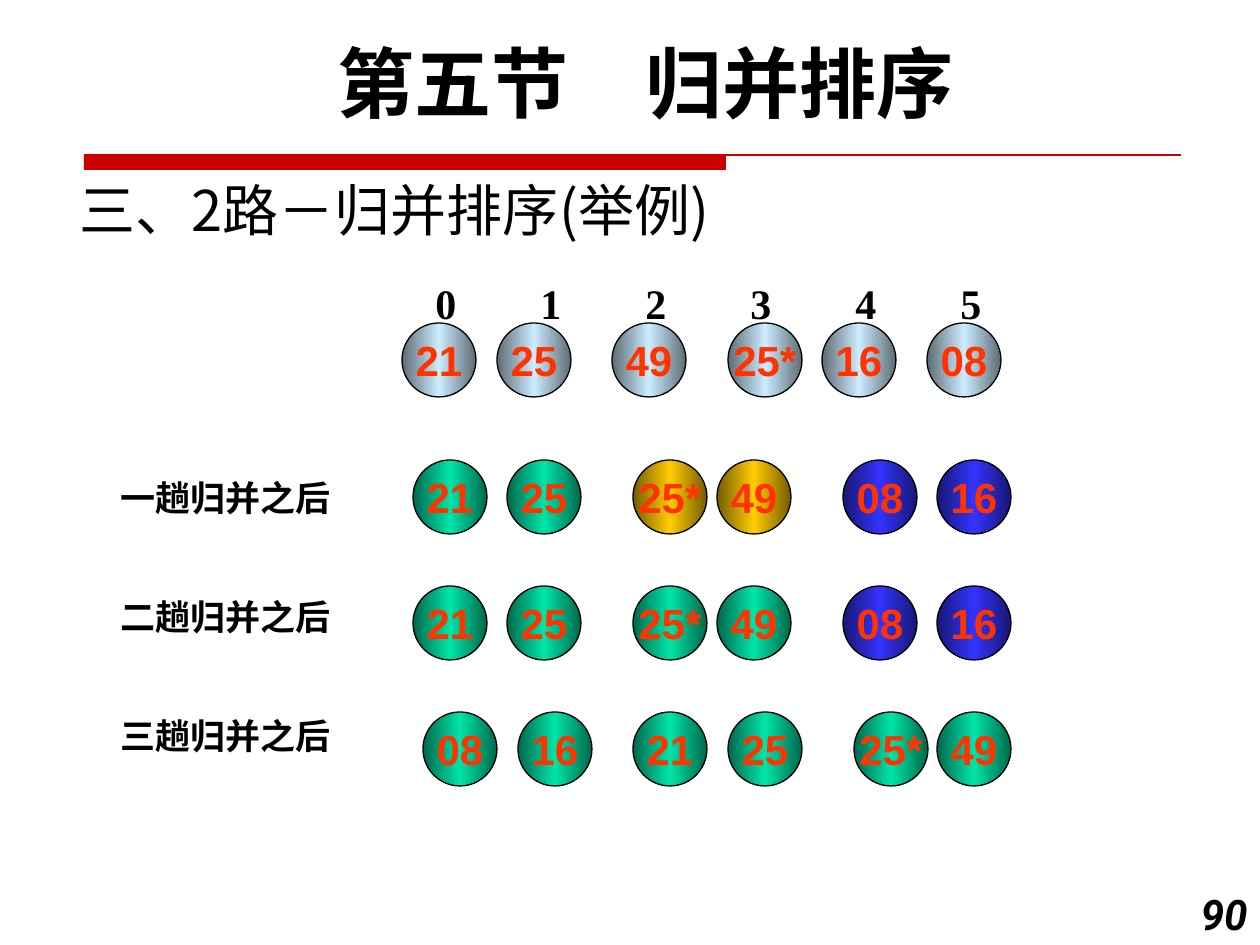
from copy import deepcopy

from lxml import etree
from pptx import Presentation
from pptx import util as u
from pptx.dml import color
from pptx.enum import shapes, text
from pptx.oxml import ns

PX = 914400 / 126
DIAMETER = 74
BLACK, RED, ORANGE = "000000", "CC0000", "FF3300"
SILVER = ("5D6C74", "CCECFF")
GREEN = ("00684C", "00E4A8")
GOLD = ("745D00", "FFCC00")
BLUE = ("171774", "3333FF")


def px(length):
    return u.Emu(round(length * PX))


def rgb(value):
    return color.RGBColor.from_string(value)


def write(frame, content, size, font="Roboto", fill=BLACK, bold=True, italic=False,
          align=text.PP_ALIGN.LEFT, anchor=text.MSO_ANCHOR.TOP, wrap=True, gap=0, tabs=()):
    frame.word_wrap = wrap
    frame.auto_size = text.MSO_AUTO_SIZE.NONE
    frame.vertical_anchor = anchor
    for number, line in enumerate(content.split("\n")):
        paragraph = frame.add_paragraph() if number else frame.paragraphs[0]
        paragraph.alignment = align
        paragraph.space_before = u.Pt(gap if number else 0)
        if tabs:
            tab_list = etree.SubElement(paragraph._p.get_or_add_pPr(), ns.qn("a:tabLst"))
            for stop in tabs:
                etree.SubElement(tab_list, ns.qn("a:tab"), pos=str(px(stop)), algn="l")
        run = paragraph.add_run()
        run.text = line
        run.font.size = u.Pt(size)
        run.font.bold = bold
        run.font.italic = italic
        run.font.color.rgb = rgb(fill)
        run.font.name = font
        etree.SubElement(run.font._element, ns.qn("a:ea"), typeface=font)


def add_text(container, left, top, width, height, content, size, **style):
    box = container.add_textbox(px(left), px(top), px(width), px(height))
    write(box.text_frame, content, size, **style)


def add_title(slide, left, top, width, height, content):
    title = slide.shapes.title
    title.left, title.top = px(left), px(top)
    title.width, title.height = px(width), px(height)
    write(title.text_frame, content, 32, font="Noto Sans CJK SC", bold=False,
          anchor=text.MSO_ANCHOR.BOTTOM)


def add_rule(slide, left, top, width, bar_width, bar_height):
    bar = slide.shapes.add_shape(shapes.MSO_SHAPE.RECTANGLE, px(left), px(top),
                                 px(bar_width), px(bar_height))
    bar.shadow.inherit = False
    bar.fill.solid()
    bar.fill.fore_color.rgb = rgb(RED)
    bar.line.fill.background()
    line = slide.shapes.add_connector(shapes.MSO_CONNECTOR.STRAIGHT, px(left), px(top),
                                      px(left + width), px(top))
    line.line.color.rgb = rgb(RED)
    line.line.width = u.Pt(0.75)
    etree.SubElement(line._element.spPr, ns.qn("a:effectLst"))


def fill_gradient(shape, edge, middle):
    shape.fill.gradient()
    shape.fill.gradient_angle = 0
    stop_list = shape._element.spPr.find(".//" + ns.qn("a:gsLst"))
    stop_list.append(deepcopy(stop_list[0]))
    stops = zip(shape.fill.gradient_stops, (0, 0.5, 1), (edge, middle, edge))
    for stop, position, shade in stops:
        stop.position = position
        stop.color.rgb = rgb(shade)


def add_ball(container, left, top, value, shades):
    ball = container.add_shape(shapes.MSO_SHAPE.OVAL, px(left), px(top),
                               px(DIAMETER), px(DIAMETER))
    ball.shadow.inherit = False
    fill_gradient(ball, *shades)
    ball.line.color.rgb = rgb(BLACK)
    ball.line.width = u.Pt(0.75)
    write(ball.text_frame, value, 24, font="Arial", fill=ORANGE, wrap=False,
          align=text.PP_ALIGN.CENTER, anchor=text.MSO_ANCHOR.MIDDLE)


def add_row(container, left, top, offsets, values, pair_shades):
    for number, (offset, value) in enumerate(zip(offsets, values.split())):
        add_ball(container, left + offset, top, value, pair_shades[number // 2])


def add_start(slide, left, top):
    group = slide.shapes.add_group_shape().shapes
    add_text(group, left + 21, top, 614, 63, "\t".join("012345"), 24,
             font="Times New Roman", wrap=False, tabs=[105 * n for n in range(1, 6)])
    add_row(group, left, top + 52, (0, 95, 210, 326, 420, 525),
            "21 25 49 25* 16 08", [SILVER] * 3)


def add_passes(slide, left, top, pitch):
    offsets = (0, 94, 220, 304, 430, 524)
    merged = "21 25 25* 49 08 16"
    add_row(slide.shapes, left, top, offsets, merged, (GREEN, GOLD, BLUE))
    add_row(slide.shapes, left, top + pitch, offsets, merged, (GREEN, GREEN, BLUE))
    final = slide.shapes.add_group_shape().shapes
    add_row(final, left, top + 2 * pitch, (10, 105, 220, 315, 441, 524),
            "08 16 21 25 25* 49", [GREEN] * 3)


def main():
    presentation = Presentation()
    presentation.slide_width, presentation.slide_height = px(1260), px(945)
    slide = presentation.slides.add_slide(presentation.slide_layouts[5])
    add_rule(slide, 84, 155, 1097, 642, 15)
    add_title(slide, 67, 155, 788, 94, "三、2路－归并排序(举例)")
    add_text(slide.shapes, 1176, 882, 84, 63, "90", 24, italic=True,
             align=text.PP_ALIGN.RIGHT)
    add_start(slide, 402, 271)
    add_passes(slide, 413, 460, 126)
    add_text(slide.shapes, 108, 470, 262, 306,
             "一趟归并之后\n二趟归并之后\n三趟归并之后", 20, gap=44)
    add_text(slide.shapes, 63, 29, 1166, 106, "第五节　归并排序", 44,
             align=text.PP_ALIGN.CENTER)
    presentation.save("out.pptx")


if __name__ == "__main__":
    main()
